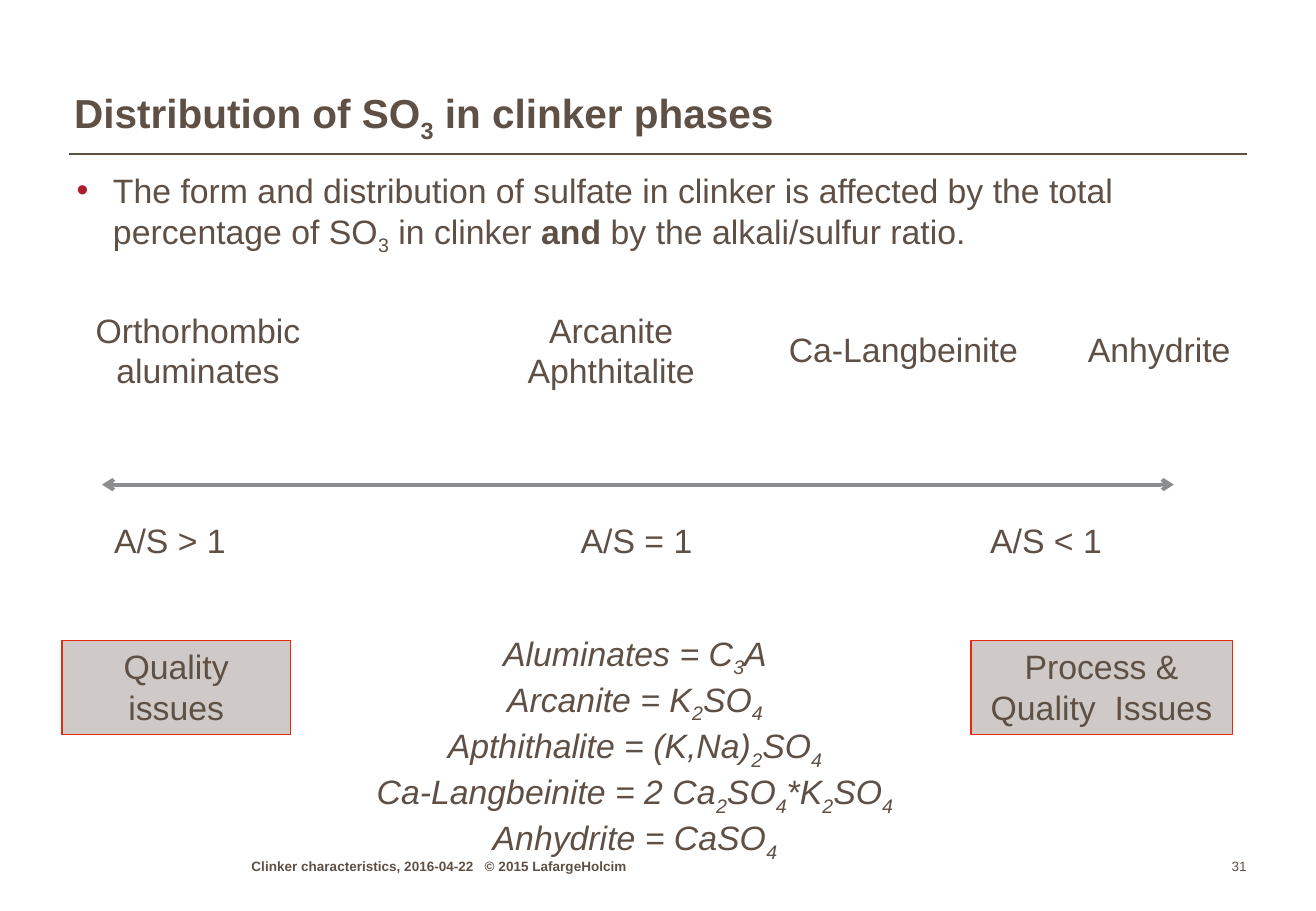
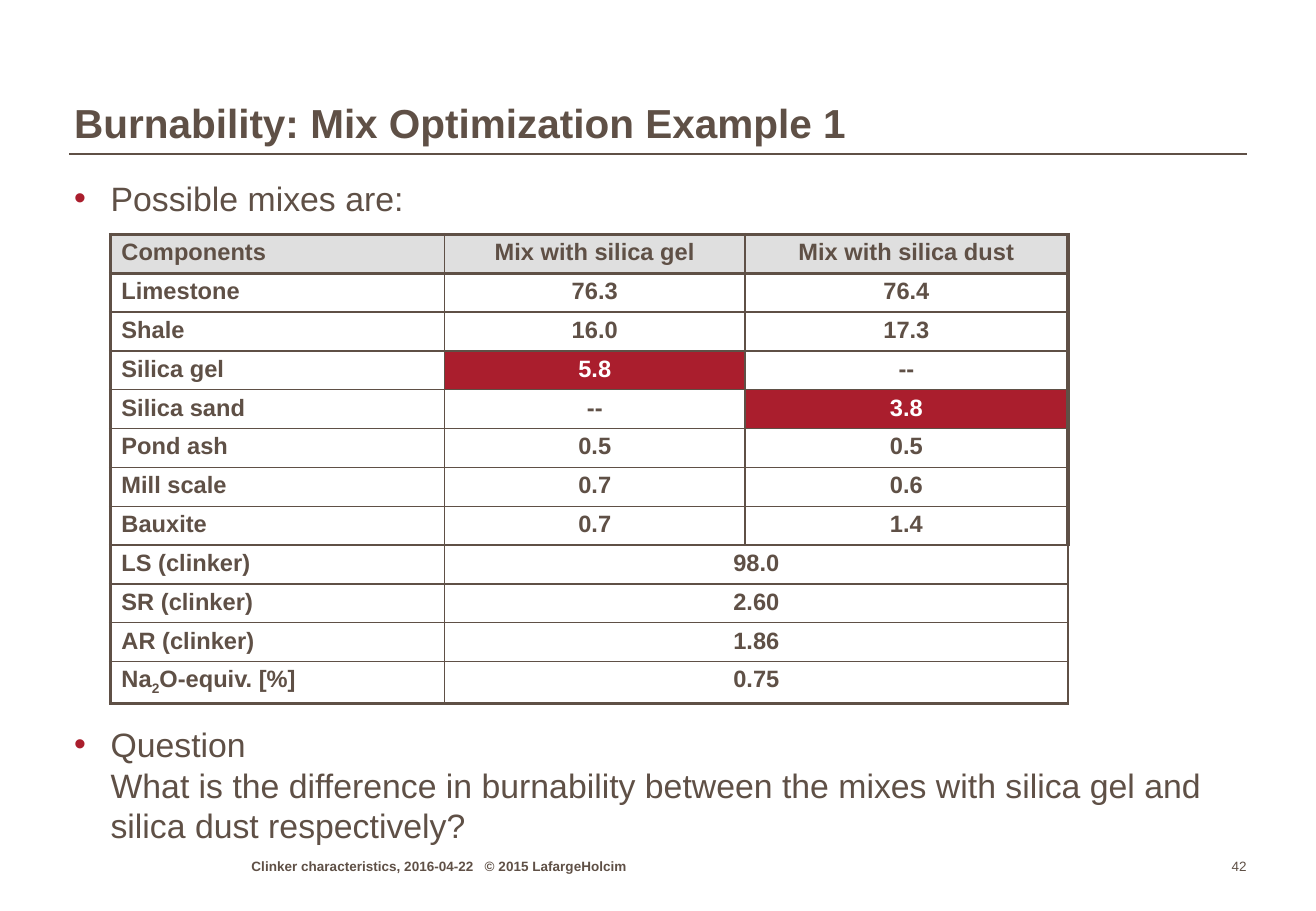
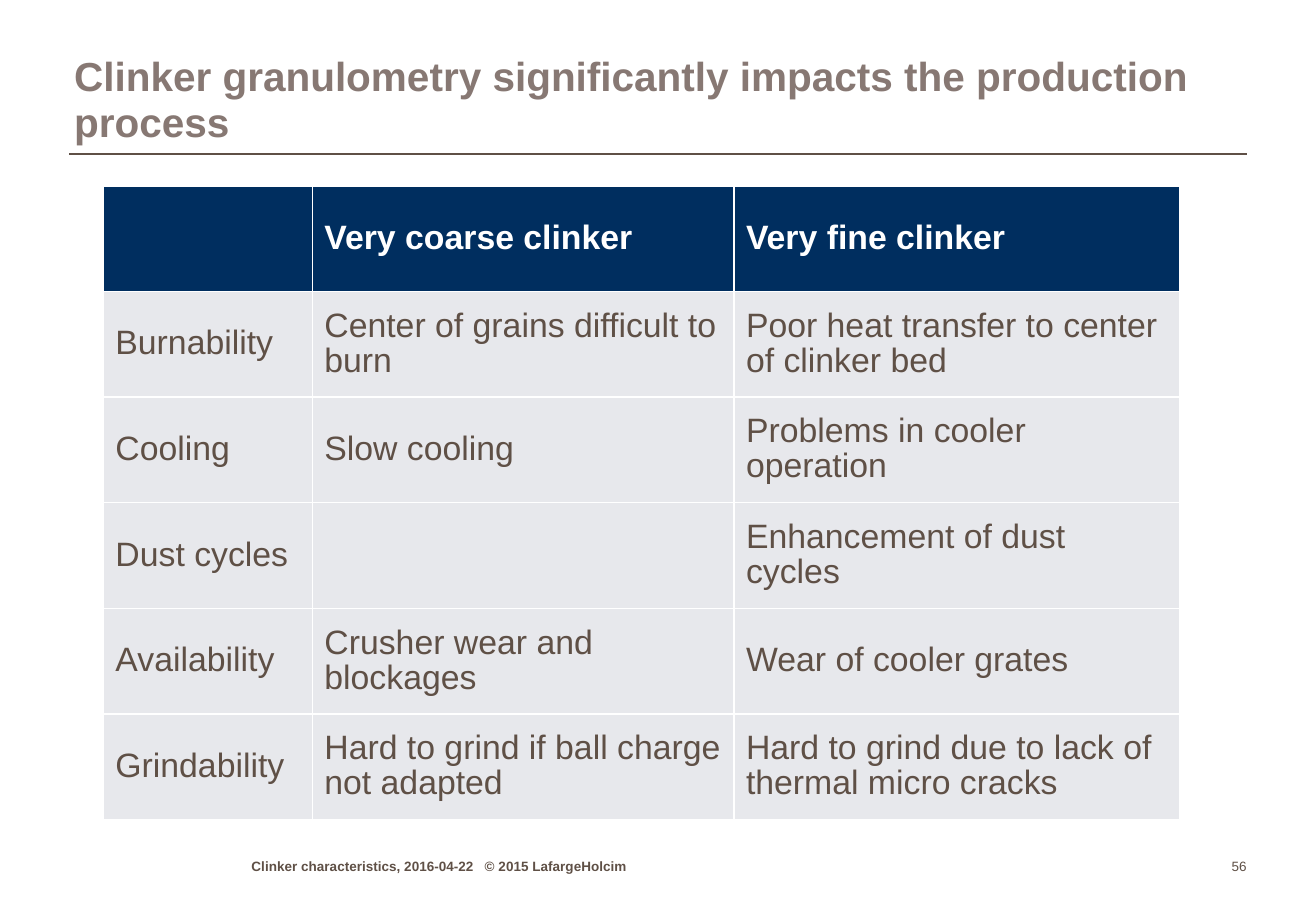
from dataclasses import dataclass

from lxml.etree import SubElement
from pptx import Presentation
from pptx.dml.color import RGBColor
from pptx.enum.shapes import MSO_CONNECTOR, MSO_SHAPE
from pptx.enum.text import MSO_ANCHOR as Anchor, MSO_AUTO_SIZE, PP_ALIGN as Align
from pptx.oxml import parse_xml
from pptx.oxml.ns import nsdecls, qn
from pptx.util import Inches, Pt


@dataclass(frozen=True)
class Theme:
    font: str = "Arial"
    text: str = "5F5046"
    muted: str = "877873"
    accent: str = "AA1E2D"
    white: str = "FFFFFF"
    arrow: str = "8B8D8E"
    issue_fill: str = "CFC9C7"
    issue_line: str = "E6280F"
    mix_header: str = "DFDFDF"
    navy: str = "002E5F"
    pale: str = "E7E8EC"
    title_size: float = 24
    body_size: float = 20
    table_size: float = 14
    footer_size: float = 8
    thin: float = 1
    thick: float = 2.25


THEME = Theme()
FOOTER = "Clinker characteristics, 2016-04-22   © 2015 LafargeHolcim"

# In all texts ~ switches subscript on and off, | switches bold.
SULFATE_POINT = ("The form and distribution of sulfate in clinker is affected by the total "
                 "percentage of SO~3~ in clinker |and| by the alkali/sulfur ratio.")
PHASES = [  # lines, left, top, width, height
    (["Orthorhombic", "aluminates"], 0.65, 2.5, 1.96, 0.77),
    (["Arcanite", "Aphthitalite"], 4.24, 2.5, 1.58, 0.77),
    (["Ca-Langbeinite"], 6.39, 2.66, 2.09, 0.43),
    (["Anhydrite"], 8.85, 2.66, 1.38, 0.43),
]
RATIOS = [("A/S > 1", 0.84), ("A/S = 1", 4.68), ("A/S < 1", 8.05)]
FORMULAS = [
    "Aluminates = C~3~A",
    "Arcanite = K~2~SO~4~",
    "Apthithalite = (K,Na)~2~SO~4~",
    "Ca-Langbeinite = 2 Ca~2~SO~4~*K~2~SO~4~",
    "Anhydrite = CaSO~4~",
]
ISSUES = [("Quality issues", 0.51, 1.88), ("Process & Quality  Issues", 7.99, 2.15)]

MIXES = [
    ("Components", "Mix with silica gel", "Mix with silica dust"),
    ("Limestone", "76.3", "76.4"),
    ("Shale", "16.0", "17.3"),
    ("Silica gel", "5.8", "--"),
    ("Silica sand", "--", "3.8"),
    ("Pond ash", "0.5", "0.5"),
    ("Mill scale", "0.7", "0.6"),
    ("Bauxite", "0.7", "1.4"),
    ("LS (clinker)", "98.0"),
    ("SR (clinker)", "2.60"),
    ("AR (clinker)", "1.86"),
    ("Na~2~O-equiv. [%]", "0.75"),
]
HIGHLIGHTS = {(3, 1), (4, 2)}
QUESTION = ("Question\nWhat is the difference in burnability between the mixes "
            "with silica gel and silica dust respectively?")

GRANULOMETRY = [
    ("", "Very coarse clinker", "Very fine clinker"),
    ("Burnability", "Center of grains difficult to burn",
     "Poor heat transfer to center of clinker bed"),
    ("Cooling", "Slow cooling", "Problems in cooler operation"),
    ("Dust cycles", "", "Enhancement of dust cycles"),
    ("Availability", "Crusher wear and blockages", "Wear of cooler grates"),
    ("Grindability", "Hard to grind if ball charge not adapted",
     "Hard to grind due to lack of thermal micro cracks"),
]


def rgb(value):
    return RGBColor.from_string(value)


def add_bullet(para):
    props = para._p.get_or_add_pPr()
    props.set("marL", str(Inches(0.3)))
    props.set("indent", str(-Inches(0.3)))
    color = SubElement(props, qn("a:buClr"))
    SubElement(color, qn("a:srgbClr")).set("val", THEME.accent)
    SubElement(props, qn("a:buFont")).set("typeface", THEME.font)
    SubElement(props, qn("a:buChar")).set("char", "•")


def write(frame, lines, cell=None, size=THEME.body_size, color=THEME.text, bold=False,
          italic=False, align=Align.LEFT, anchor=Anchor.TOP, wrap=True,
          insets=(0.1, 0.05, 0.1, 0.05), bullet=False, spacing=None):
    """Write one paragraph for each line; a table cell holds its own insets and anchor."""
    holder = frame if cell is None else cell
    holder.margin_left, holder.margin_top, holder.margin_right, holder.margin_bottom = map(
        Inches, insets)
    holder.vertical_anchor = anchor
    frame.word_wrap = wrap
    for index, line in enumerate(lines):
        para = frame.paragraphs[0] if index == 0 else frame.add_paragraph()
        para.alignment = align
        if spacing:
            para.line_spacing = spacing
        if bullet:
            add_bullet(para)
        for row, part in enumerate(line.split("\n")):
            if row:
                para.add_line_break()
            for weight, piece in enumerate(part.split("|")):
                for level, words in enumerate(piece.split("~")):
                    if not words:
                        continue
                    span = para.add_run()
                    span.text = words
                    span.font.name = THEME.font
                    span.font.size = Pt(size)
                    span.font.color.rgb = rgb(color)
                    span.font.bold = bold or weight % 2 == 1
                    span.font.italic = italic
                    if level % 2:
                        span.font._element.set("baseline", "-25000")


def add_text(page, lines, left, top, width, height, **style):
    box = page.shapes.add_textbox(*map(Inches, (left, top, width, height)))
    write(box.text_frame, lines, **style)


def add_line(page, left, right, y, color, width, arrows=False):
    line = page.shapes.add_connector(
        MSO_CONNECTOR.STRAIGHT, *map(Inches, (left, y, right, y)))
    line.line.color.rgb = rgb(color)
    line.line.width = Pt(width)
    SubElement(line._element.spPr, qn("a:effectLst"))
    if arrows:
        for end in ("a:headEnd", "a:tailEnd"):
            SubElement(line.line._get_or_add_ln(), qn(end)).set("type", "arrow")


def add_page(deck, title, number, title_top, title_color=THEME.text):
    page = deck.slides.add_slide(deck.slide_layouts[5])
    heading = page.shapes.title
    heading.left, heading.top, heading.width, heading.height = map(
        Inches, (0.61, title_top, 9.6, 0.87))
    write(heading.text_frame, [title], size=THEME.title_size, color=title_color, bold=True,
          anchor=Anchor.BOTTOM, insets=(0, 0, 0, 0.01), spacing=0.95)
    heading.text_frame.auto_size = MSO_AUTO_SIZE.NONE
    add_line(page, 0.57, 10.26, 1.27, THEME.text, THEME.thin)
    small = dict(size=THEME.footer_size, anchor=Anchor.BOTTOM, insets=(0, 0, 0, 0))
    add_text(page, [FOOTER], 2.07, 7.02, 3.47, 0.18, bold=True, **small)
    add_text(page, [str(number)], 9.79, 7.02, 0.47, 0.18, align=Align.RIGHT, **small)
    return page


def add_point(page, text, left, top, height):
    add_text(page, [text], left, top, 9.61, height, bullet=True, insets=(0, 0, 0, 0))


def add_grid(page, left, top, widths, row_height, row_count):
    """Add an unstyled table with equal rows."""
    table = page.shapes.add_table(
        row_count, len(widths), Inches(left), Inches(top),
        Inches(sum(widths)), Inches(row_height * row_count)).table
    table.first_row = table.horz_banding = False
    for column, width in zip(table.columns, widths):
        column.width = Inches(width)
    for row in table.rows:
        row.height = Inches(row_height)
    return table


def style_cell(cell, fill, border, left, right, top, bottom):
    """Set the fill, and borders of one colour with the given widths in points."""
    props = cell._tc.get_or_add_tcPr()
    for index, (side, width) in enumerate(zip("LRTB", (left, right, top, bottom))):
        props.insert(index, parse_xml(
            f'<a:ln{side} {nsdecls("a")} w="{Pt(width)}"><a:solidFill>'
            f'<a:srgbClr val="{border}"/></a:solidFill></a:ln{side}>'))
    if fill:
        cell.fill.solid()
        cell.fill.fore_color.rgb = rgb(fill)
    else:
        cell.fill.background()


def build_sulfate(deck):
    page = add_page(deck, "Distribution of SO~3~ in clinker phases", 31, 0.3)
    add_point(page, SULFATE_POINT, 0.63, 1.4, 1.1)
    add_line(page, 0.84, 9.66, 3.99, THEME.arrow, THEME.thick, arrows=True)
    for ratio, left in RATIOS:
        add_text(page, [ratio], left, 4.23, 1.12, 0.43, wrap=False)
    for lines, *place in PHASES:
        add_text(page, lines, *place, align=Align.CENTER, wrap=False)
    add_text(page, FORMULAS, 2.98, 5.16, 4.49, 1.77, italic=True, align=Align.CENTER,
             wrap=False)
    for issue, left, width in ISSUES:
        box = page.shapes.add_shape(
            MSO_SHAPE.RECTANGLE, *map(Inches, (left, 5.27, width, 0.78)))
        box.shadow.inherit = False
        box.fill.solid()
        box.fill.fore_color.rgb = rgb(THEME.issue_fill)
        box.line.color.rgb = rgb(THEME.issue_line)
        box.line.width = Pt(0.75)
        write(box.text_frame, [issue], align=Align.CENTER)


def build_mixes(deck):
    page = add_page(deck, "Burnability: Mix Optimization Example 1", 42, 0.36)
    add_point(page, "Possible mixes are:", 0.61, 1.46, 0.4)
    add_point(page, QUESTION, 0.61, 5.96, 1.05)
    table = add_grid(page, 0.91, 1.93, (2.75, 2.47, 2.66), 0.32, len(MIXES))
    last_row, last_column = len(MIXES) - 1, 2

    def weight(heavy):
        return THEME.thick if heavy else THEME.thin

    for r, values in enumerate(MIXES):
        if len(values) == 2:
            table.cell(r, 1).merge(table.cell(r, last_column))
        for c in range(last_column + 1):
            marked = (r, c) in HIGHLIGHTS
            fill = THEME.mix_header if r == 0 else THEME.accent if marked else None
            cell = table.cell(r, c)
            style_cell(cell, fill, THEME.text, weight(c == 0), weight(c == last_column),
                       weight(r <= 1), weight(r in (0, last_row)))
            if c < len(values):
                write(cell.text_frame, [values[c]], cell=cell, size=THEME.table_size,
                      bold=True, color=THEME.white if marked else THEME.text,
                      align=Align.CENTER if c else Align.LEFT,
                      insets=(0.09, 0.04, 0.09, 0.04))


def build_granulometry(deck):
    page = add_page(deck, "Clinker granulometry significantly impacts the production process",
                    56, 0.35, THEME.muted)
    table = add_grid(page, 0.85, 1.53, (1.72, 3.47, 3.67), 0.87, len(GRANULOMETRY))
    for r, values in enumerate(GRANULOMETRY):
        header = r == 0
        for c, value in enumerate(values):
            cell = table.cell(r, c)
            style_cell(cell, THEME.navy if header else THEME.pale, THEME.white,
                       *[THEME.thin] * 4)
            write(cell.text_frame, [value], cell=cell, bold=header,
                  color=THEME.white if header else THEME.text,
                  anchor=Anchor.MIDDLE, spacing=0.93)


def main():
    deck = Presentation()
    deck.slide_width, deck.slide_height = Inches(10.83), Inches(7.5)
    for build in (build_sulfate, build_mixes, build_granulometry):
        build(deck)
    deck.save("out.pptx")


if __name__ == "__main__":
    main()
